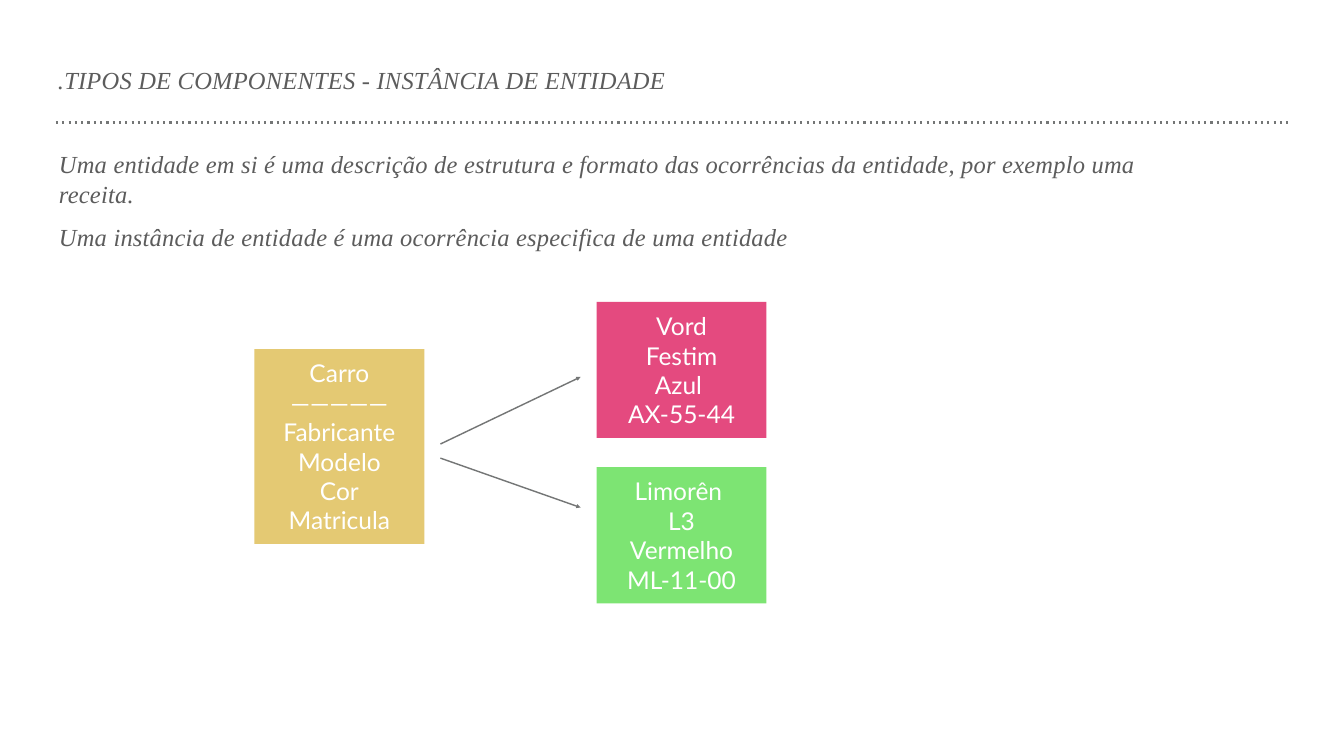
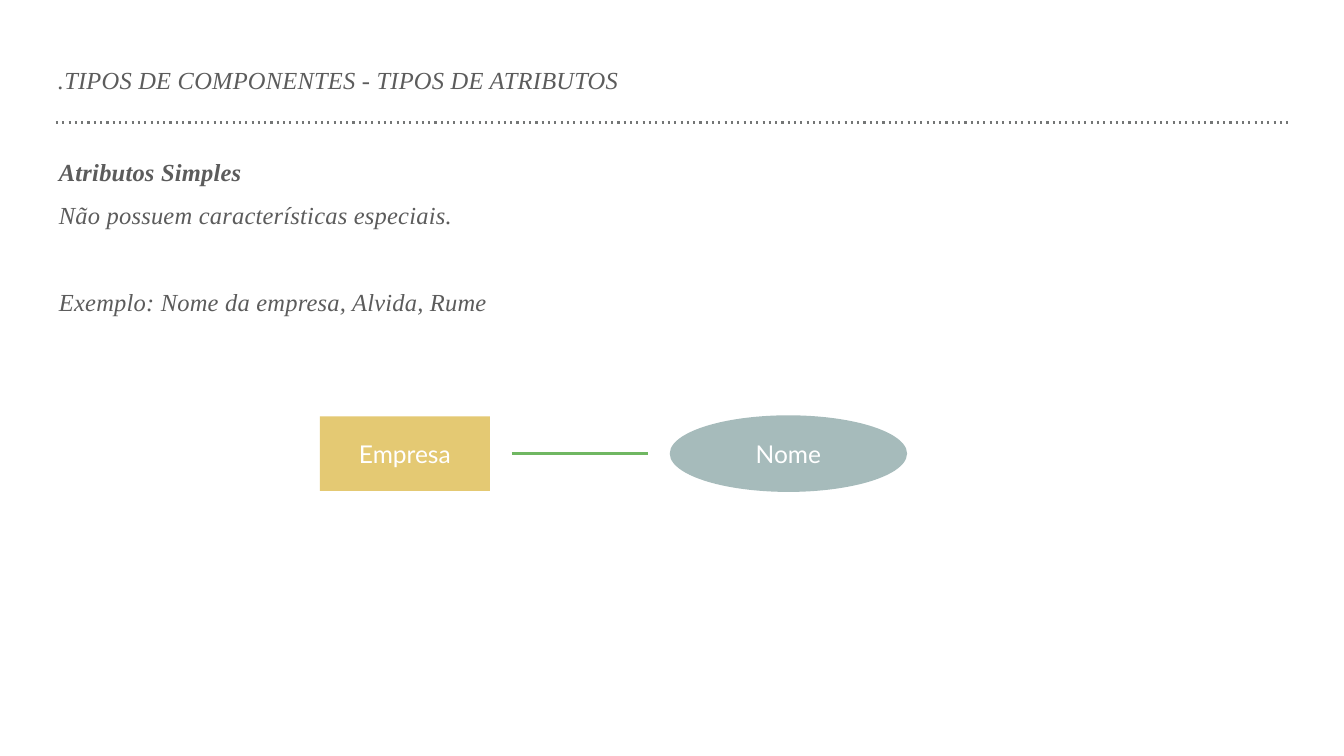
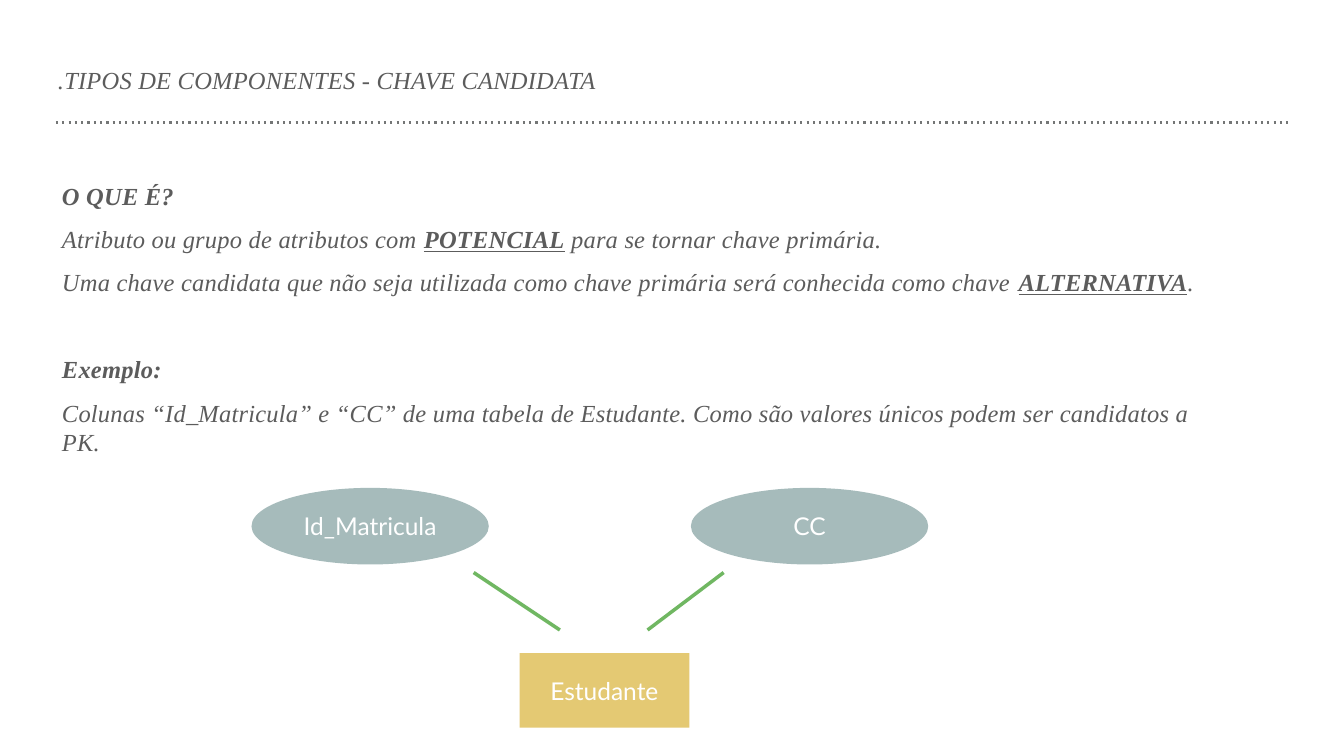
import pptx
import pptx.util
import pptx.dml.color
import pptx.enum.shapes
import pptx.enum.text
import pptx.oxml
import pptx.oxml.ns

Inches = pptx.util.Inches
Pt = pptx.util.Pt
RGBColor = pptx.dml.color.RGBColor
MSO_SHAPE = pptx.enum.shapes.MSO_SHAPE
MSO_CONNECTOR = pptx.enum.shapes.MSO_CONNECTOR
PP_ALIGN = pptx.enum.text.PP_ALIGN
MSO_ANCHOR = pptx.enum.text.MSO_ANCHOR
MSO_AUTO_SIZE = pptx.enum.text.MSO_AUTO_SIZE

WHITE = RGBColor(0xFF, 0xFF, 0xFF)
TEXT_GREY = RGBColor(0x5C, 0x5C, 0x5C)
LINE_GREY = RGBColor(0x74, 0x76, 0x76)
YELLOW = RGBColor(0xE4, 0xC9, 0x73)
PINK = RGBColor(0xE4, 0x4A, 0x7F)
LIGHT_GREEN = RGBColor(0x7D, 0xE4, 0x73)
GREEN = RGBColor(0x70, 0xB7, 0x62)
BLUE_GREY = RGBColor(0xA6, 0xBB, 0xBB)

SIZE = 35
LINE_HEIGHT = 42
SPACE_BEFORE = 20
SECTION_GAP = LINE_HEIGHT + 2 * SPACE_BEFORE
BOX_WIDTH = 3.37
ENTITY_HEIGHT = 1.48
ATTRIBUTE_SIZE = (4.71, 1.52)


def add_xml(parent, tag, content="", **attributes):
    attrs = "".join(f' {key}="{value}"' for key, value in attributes.items())
    namespace = pptx.oxml.ns.nsdecls("a")
    parent.append(pptx.oxml.parse_xml(
        f"<a:{tag} {namespace}{attrs}>{content}</a:{tag}>"))


def set_frame(tf, wrap=True):
    tf.word_wrap = wrap
    tf.auto_size = MSO_AUTO_SIZE.NONE
    tf.vertical_anchor = MSO_ANCHOR.MIDDLE
    tf.margin_left = tf.margin_right = Inches(0.06)
    tf.margin_top = tf.margin_bottom = Inches(0.06)


def format_run(r, font, color):
    r.font.name = font
    r.font.size = Pt(SIZE)
    r.font.color.rgb = color


def format_prose(p, space_before=0):
    p.alignment = PP_ALIGN.LEFT
    p.line_spacing = Pt(LINE_HEIGHT)
    p.space_before = Pt(space_before)
    for r in p.runs:
        format_run(r, "Times New Roman", TEXT_GREY)
        r.font.italic = True
        r._r.get_or_add_rPr().set("spc", "30")


def add_line(slide, start, end, color, width, arrow=False):
    points = [Inches(value) for value in (*start, *end)]
    s = slide.shapes.add_connector(MSO_CONNECTOR.STRAIGHT, *points)
    s.line.color.rgb = color
    s.line.width = Pt(width)
    add_xml(s._element.spPr, "effectLst")
    if arrow:
        add_xml(s.line._ln, "tailEnd", type="triangle")
    return s


def add_titled_slide(prs, title, width):
    slide = prs.slides.add_slide(prs.slide_layouts[5])
    rule = add_line(slide, (1.11, 2.43), (25.56, 2.43), LINE_GREY, 3)
    add_xml(rule.line._ln, "custDash", '<a:ds d="100000" sp="200000"/>')
    s = slide.shapes.title
    s.left, s.top = Inches(1.09), Inches(1.19)
    s.width, s.height = Inches(width), Inches(0.78)
    set_frame(s.text_frame, wrap=False)
    s.text_frame.text = title
    format_prose(s.text_frame.paragraphs[0])
    return slide


def add_prose(slide, left, top, height, paragraphs):
    """Each paragraph is its space before, then (text, style) pairs; b is bold, u underlined."""
    s = slide.shapes.add_textbox(
        Inches(left), Inches(top), Inches(23.01), Inches(height))
    tf = s.text_frame
    set_frame(tf)
    for i, (space_before, *segments) in enumerate(paragraphs):
        p = tf.add_paragraph() if i else tf.paragraphs[0]
        for text, style in segments:
            r = p.add_run()
            r.text = text
            r.font.bold = "b" in style
            r.font.underline = "u" in style
        format_prose(p, space_before)


def add_node(slide, kind, left, top, width, height, color, lines):
    s = slide.shapes.add_shape(
        kind, Inches(left), Inches(top), Inches(width), Inches(height))
    s.shadow.inherit = False
    s.fill.solid()
    s.fill.fore_color.rgb = color
    s.line.fill.background()
    tf = s.text_frame
    set_frame(tf)
    for i, line in enumerate(lines):
        p = tf.add_paragraph() if i else tf.paragraphs[0]
        p.text = line
        p.alignment = PP_ALIGN.CENTER
        for r in p.runs:
            format_run(r, "Lato", WHITE)


def add_box(slide, left, top, height, color, lines):
    add_node(slide, MSO_SHAPE.RECTANGLE, left, top, BOX_WIDTH, height, color, lines)


def add_entity(slide, left, top, name):
    add_box(slide, left, top, ENTITY_HEIGHT, YELLOW, [name])


def add_attribute(slide, left, top, name):
    add_node(slide, MSO_SHAPE.OVAL, left, top, *ATTRIBUTE_SIZE, BLUE_GREY, [name])


def build_instance_slide(prs):
    slide = add_titled_slide(
        prs, ".TIPOS DE COMPONENTES - INSTÂNCIA DE ENTIDADE", 12.34)
    add_prose(slide, 1.11, 3.12, 1.72, [
        (0, ("Uma entidade em si é uma descrição de estrutura e formato das "
             "ocorrências da entidade, por exemplo uma receita.", "")),
        (SPACE_BEFORE, ("Uma instância de entidade é uma ocorrência especifica "
                        "de uma entidade", "")),
    ])
    add_box(slide, 5.05, 6.93, 3.86, YELLOW,
            ["Carro\v—————", "Fabricante\vModelo\vCor\vMatricula"])
    instances = [
        (5.99, PINK, ["Vord", "Festim", "Azul ", "AX-55-44"]),
        (9.27, LIGHT_GREEN, ["Limorên ", "L3", "Vermelho", "ML-11-00"]),
    ]
    for top, color, lines in instances:
        add_box(slide, 11.84, top, 2.7, color, lines)
    for start_y, end_y in ((8.81, 7.48), (9.09, 10.07)):
        add_line(slide, (8.74, start_y), (11.52, end_y), LINE_GREY, 2, arrow=True)


def build_attribute_slide(prs):
    slide = add_titled_slide(
        prs, ".TIPOS DE COMPONENTES - TIPOS DE ATRIBUTOS", 11.35)
    add_prose(slide, 1.11, 2.89, 3.61, [
        (0, ("Atributos Simples", "b")),
        (SPACE_BEFORE, ("Não possuem características especiais.", "")),
        (SECTION_GAP, ("Exemplo: Nome da empresa, Alvida, Rume", "")),
    ])
    add_entity(slide, 6.35, 8.26, "Empresa")
    add_attribute(slide, 13.29, 8.24, "Nome")
    add_line(slide, (10.16, 9), (12.85, 9), GREEN, 5)


def build_candidate_key_slide(prs):
    slide = add_titled_slide(
        prs, ".TIPOS DE COMPONENTES - CHAVE CANDIDATA", 10.99)
    add_prose(slide, 1.17, 3.57, 5.5, [
        (0, ("O QUE É?", "b")),
        (SPACE_BEFORE, ("Atributo ou grupo de atributos com ", ""),
         ("POTENCIAL", "bu"), (" para se tornar chave primária.", "")),
        (SPACE_BEFORE, ("Uma chave candidata que não seja utilizada como chave "
                        "primária será conhecida como chave ", ""),
         ("ALTERNATIVA", "bu"), (".", "")),
        (SECTION_GAP, ("Exemplo:", "b")),
        (SPACE_BEFORE, ("Colunas “Id_Matricula” e “CC” de uma tabela de Estudante. "
                        "Como são valores únicos podem ser candidatos a PK.", "")),
    ])
    add_entity(slide, 10.31, 12.96, "Estudante")
    keys = [("Id_Matricula", 4.99, 9.4, 11.11), ("CC", 13.71, 14.36, 12.85)]
    for name, left, start_x, end_x in keys:
        add_attribute(slide, left, 9.68, name)
        add_line(slide, (start_x, 11.36), (end_x, 12.5), GREEN, 5)


def main():
    prs = pptx.Presentation()
    prs.slide_width = Inches(26.67)
    prs.slide_height = Inches(15)
    build_instance_slide(prs)
    build_attribute_slide(prs)
    build_candidate_key_slide(prs)
    prs.save("out.pptx")


if __name__ == "__main__":
    main()
